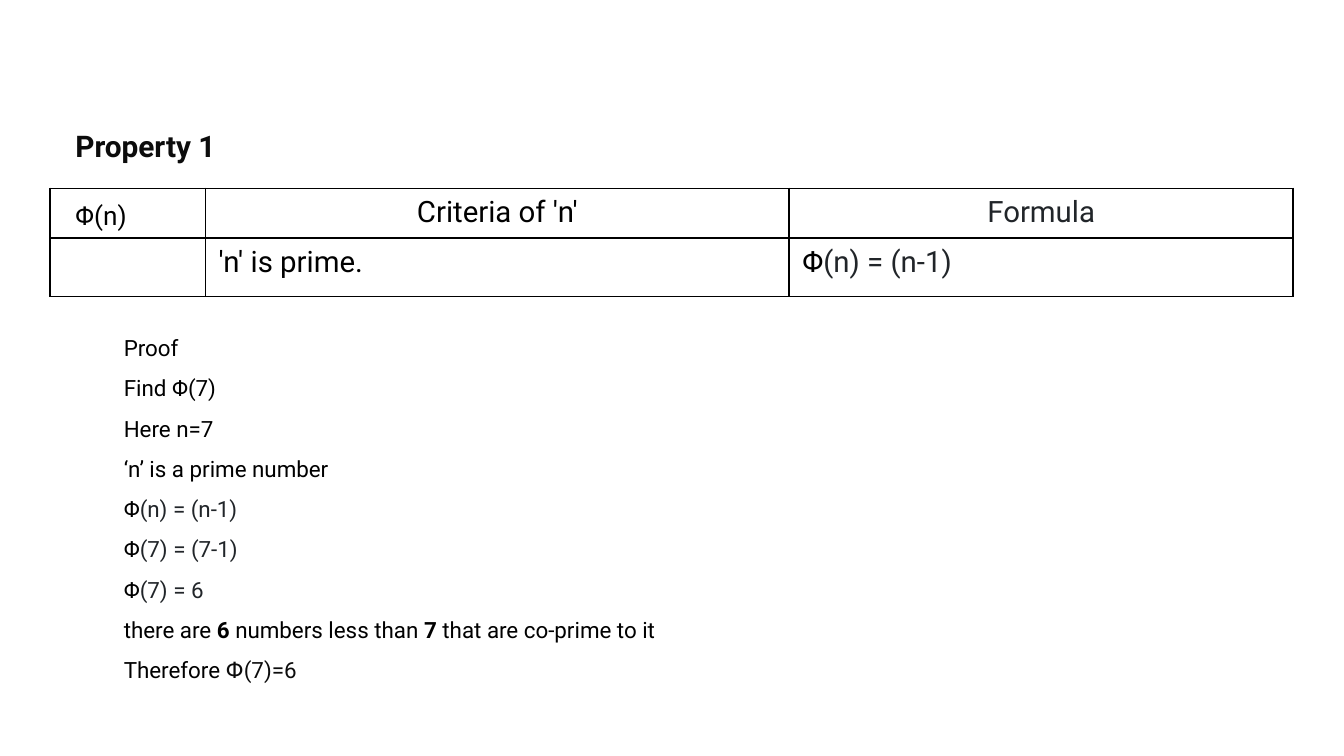
from dataclasses import dataclass

from lxml import etree
from pptx import Presentation
from pptx.dml.color import RGBColor
from pptx.enum.text import MSO_ANCHOR, MSO_AUTO_SIZE, PP_ALIGN
from pptx.oxml.ns import qn
from pptx.util import Cm, Pt

TOP = MSO_ANCHOR.TOP
GROW = MSO_AUTO_SIZE.SHAPE_TO_FIT_TEXT
LEFT, CENTER = PP_ALIGN.LEFT, PP_ALIGN.CENTER


@dataclass(frozen=True)
class Theme:
    font: str = "Roboto"
    black: str = "000000"
    ink: str = "0C0C0C"
    grey: str = "212529"
    title: float = 21.3
    table: float = 21
    label: float = 18.7
    body: float = 16
    border: float = 1.5
    pad_x: float = 0.33
    pad_y: float = 0.18


T = Theme()

# Each line is a list of (text, colour, bold) runs
TABLE_ROWS = [
    [[], [("Criteria of 'n'", T.black, False)], [("Formula", T.grey, False)]],
    [[], [("'n' is prime.", T.black, False)],
     [("Φ", T.black, False), ("(n) = (n-1)", T.grey, False)]],
]
PROOF = [
    [("Proof", T.black, False)],
    [("Find Φ(7)", T.black, False)],
    [("Here n=7", T.black, False)],
    [("‘n’ is a prime number", T.black, False)],
    [("Φ", T.black, False), ("(n) = (n-1)", T.grey, False)],
    [("Φ", T.black, False), ("(7) = (7-1)", T.grey, False)],
    [("Φ", T.black, False), ("(7) = 6", T.grey, False)],
    [("there are ", T.black, False), ("6", T.black, True),
     (" numbers less than ", T.black, False), ("7", T.black, True),
     (" that are co-prime to it", T.black, False)],
    [("Therefore ", T.black, False), ("Փ(7)=6", T.ink, False)],
]


def write_line(p, line, size, align=LEFT):
    p.alignment = align
    for text, color, bold in line:
        r = p.add_run()
        r.text = text
        r.font.name = T.font
        r.font.size = Pt(size)
        r.font.bold = bold
        r.font.color.rgb = RGBColor.from_string(color)


def set_padding(frame):
    frame.margin_left = frame.margin_right = Cm(T.pad_x)
    frame.margin_top = frame.margin_bottom = Cm(T.pad_y)
    frame.vertical_anchor = TOP


def prepare_text(sp, box):
    sp.left, sp.top, sp.width, sp.height = [Cm(v) for v in box]
    tf = sp.text_frame
    set_padding(tf)
    tf.word_wrap = True
    tf.auto_size = GROW
    return tf


def set_borders(cell):
    tc_pr = cell._tc.get_or_add_tcPr()
    for i, side in enumerate(("a:lnL", "a:lnR", "a:lnT", "a:lnB")):
        ln = etree.Element(qn(side), w=str(Pt(T.border)))
        fill = etree.SubElement(ln, qn("a:solidFill"))
        etree.SubElement(fill, qn("a:srgbClr"), val=T.black)
        tc_pr.insert(i, ln)


def add_title(slide, box):
    tf = prepare_text(slide.shapes.title, box)
    write_line(tf.paragraphs[0], [("Property 1", T.ink, True)], T.title)


def add_criteria_table(slide, box):
    x, y, w, h = box
    col_widths = (3.91, 14.71, w - 3.91 - 14.71)
    row_heights = (1.24, h - 1.24)
    table = slide.shapes.add_table(
        len(row_heights), len(col_widths), Cm(x), Cm(y), Cm(w), Cm(h)).table
    table.first_row = table.horz_banding = False
    for col, width in zip(table.columns, col_widths):
        col.width = Cm(width)
    for i, (row, height) in enumerate(zip(table.rows, row_heights)):
        row.height = Cm(height)
        for cell, line in zip(row.cells, TABLE_ROWS[i]):
            set_padding(cell)
            cell.fill.background()
            set_borders(cell)
            write_line(cell.text_frame.paragraphs[0], line, T.table,
                       CENTER if i == 0 else LEFT)

    # Symbol label over the first header cell
    label_box = (x + 0.3, y + 0.1, 4.11, 1.14)
    sp = slide.shapes.add_textbox(*[Cm(v) for v in label_box])
    tf = prepare_text(sp, label_box)
    write_line(tf.paragraphs[0], [("Φ(n)", T.black, False)], T.label)


def add_proof(slide, box):
    tf = prepare_text(slide.placeholders[1], box)
    for i, line in enumerate(PROOF):
        p = tf.paragraphs[0] if i == 0 else tf.add_paragraph()
        write_line(p, line, T.body)
        p.line_spacing = 1.5
        p.space_before = p.space_after = Pt(0)
        p_pr = p._p.get_or_add_pPr()
        p_pr.set("marL", "0")
        p_pr.set("indent", "0")
        etree.SubElement(p_pr, qn("a:buNone"))


def main():
    prs = Presentation()
    prs.slide_width, prs.slide_height = Cm(33.87), Cm(19.05)
    slide = prs.slides.add_slide(prs.slide_layouts[1])
    add_title(slide, (1.57, 3.05, 28.68, 1.24))
    add_criteria_table(slide, (1.27, 4.75, 31.32, 2.71))
    add_proof(slide, (2.79, 7.9, 29.79, 9.58))
    prs.save("out.pptx")


if __name__ == "__main__":
    main()
